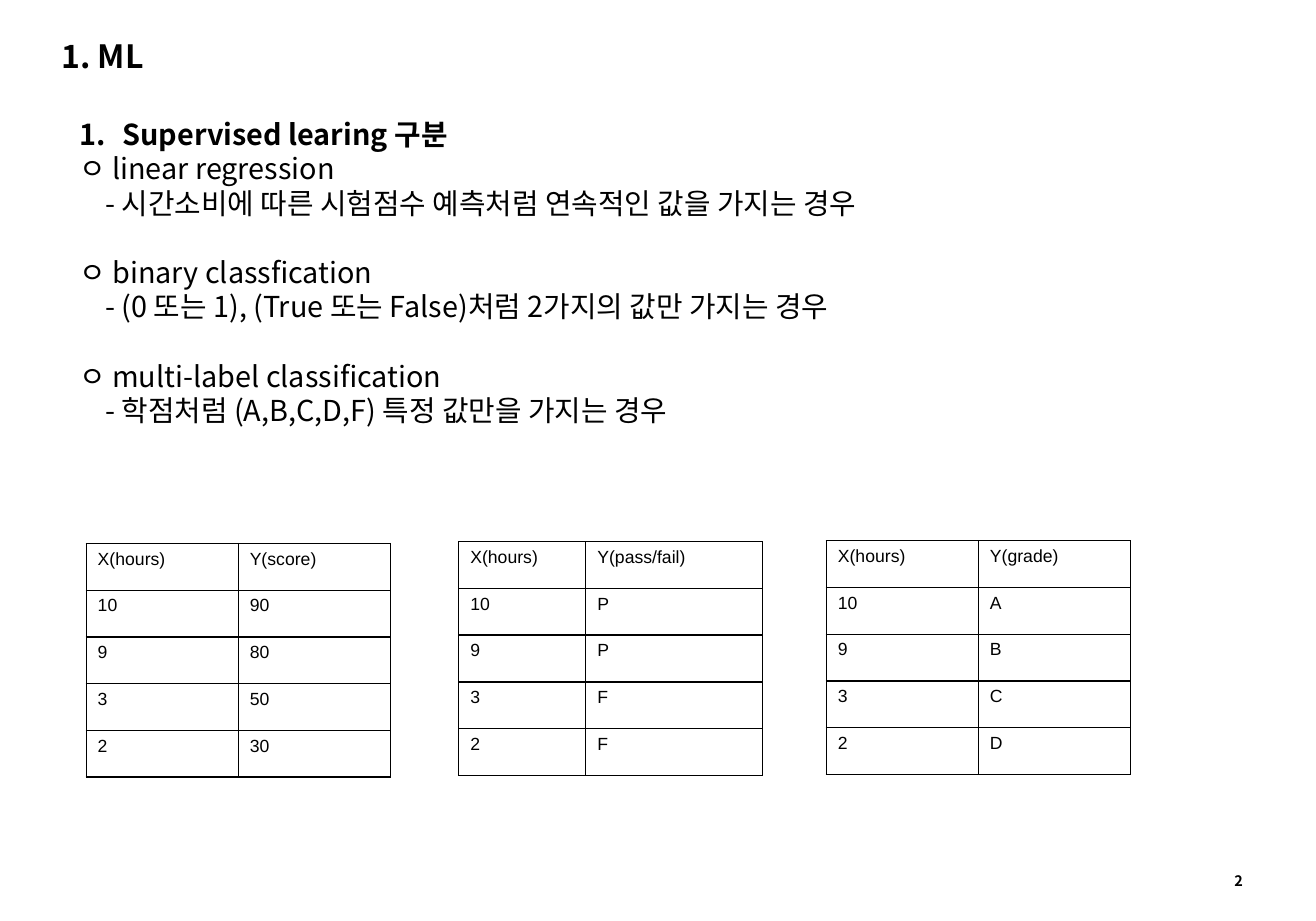
import lxml.etree
import pptx
import pptx.dml.color
import pptx.enum.text
import pptx.oxml.ns
import pptx.util

Cm = pptx.util.Cm
Pt = pptx.util.Pt
qn = pptx.oxml.ns.qn
ANCHOR = pptx.enum.text.MSO_ANCHOR


def color(value):
    return pptx.dml.color.RGBColor.from_string(value)


class SlideBuilder:
    """Adds text and tables in one style to the current slide."""

    ink = "000000"
    text_font = "Noto Sans CJK KR"
    table_font = "Arial"
    line_pitch = Pt(21.6)

    def __init__(self, page):
        self.page = page

    def style(self, para, size, font, bold=False):
        for span in para.runs:
            span.font.size = Pt(size)
            span.font.bold = bold
            span.font.color.rgb = color(self.ink)
            span.font.name = font
            properties = span._r.get_or_add_rPr()
            properties.set("kern", "0")
            east_asian = lxml.etree.SubElement(properties, qn("a:ea"))
            east_asian.set("typeface", font)

    def text_box(self, left, top, width, height, anchor):
        box = self.page.shapes.add_textbox(Cm(left), Cm(top), Cm(width), Cm(height))
        box.text_frame.word_wrap = True
        box.text_frame.vertical_anchor = anchor
        return box.text_frame

    def label(self, text, left, top, width, height, size):
        frame = self.text_box(left, top, width, height, ANCHOR.MIDDLE)
        frame.text = text
        self.style(frame.paragraphs[0], size, self.text_font, bold=True)

    def indent(self, para, margin, first_line=0.0):
        properties = para._p.get_or_add_pPr()
        properties.set("marL", str(Cm(margin)))
        properties.set("indent", str(Cm(first_line)))
        return properties

    def outline(self, heading, topics, left, top, width, height):
        frame = self.text_box(left, top, width, height, ANCHOR.TOP)
        para = frame.paragraphs[0]
        para.text = heading
        para.line_spacing = self.line_pitch
        self.style(para, 18, self.text_font, bold=True)
        properties = self.indent(para, 0.95, -0.95)
        number = lxml.etree.SubElement(properties, qn("a:buAutoNum"))
        number.set("type", "arabicPeriod")
        for index, (name, detail) in enumerate(topics):
            for text, margin in ((f"ㅇ {name}", 0), (f"- {detail}", 0.57)):
                para = frame.add_paragraph()
                para.text = text
                para.line_spacing = self.line_pitch
                if index and not margin:
                    para.space_before = self.line_pitch
                self.indent(para, margin)
                self.style(para, 18, self.text_font)

    def border(self, cell):
        properties = cell._tc.get_or_add_tcPr()
        for position, side in enumerate(("lnL", "lnR", "lnT", "lnB")):
            line = lxml.etree.Element(qn(f"a:{side}"), w=str(Pt(1)))
            fill = lxml.etree.SubElement(line, qn("a:solidFill"))
            lxml.etree.SubElement(fill, qn("a:srgbClr"), val=self.ink)
            properties.insert(position, line)

    def table(self, rows, left, top, widths, row_height=1.03):
        frame = self.page.shapes.add_table(
            len(rows), len(widths), Cm(left), Cm(top),
            Cm(sum(widths)), Cm(row_height * len(rows)))
        table = frame.table
        table.first_row = False
        table.horz_banding = False
        for column, width in zip(table.columns, widths):
            column.width = Cm(width)
        for row, values in zip(table.rows, rows):
            row.height = Cm(row_height)
            for cell, value in zip(row.cells, values):
                cell.text_frame.text = value
                self.style(cell.text_frame.paragraphs[0], 11, self.table_font)
                cell.fill.background()
                self.border(cell)


def main():
    deck = pptx.Presentation()
    deck.slide_width = Cm(29)
    deck.slide_height = Cm(20.3)
    builder = SlideBuilder(deck.slides.add_slide(deck.slide_layouts[6]))

    builder.label("2", 26.95, 19.1, 2.13, 0.64, 9)
    builder.label("1. ML", 1.1, 0.72, 14.7, 1, 20)
    topics = [
        ("linear regression", "시간소비에 따른 시험점수 예측처럼 연속적인 값을 가지는 경우"),
        ("binary classfication", "(0 또는 1), (True 또는 False)처럼 2가지의 값만 가지는 경우"),
        ("multi-label classification", "학점처럼 (A,B,C,D,F) 특정 값만을 가지는 경우"),
    ]
    builder.outline("Supervised learing 구분", topics, 1.5, 2.44, 24.8, 9.5)

    hours = ["X(hours)", "10", "9", "3", "2"]
    tables = [
        (["Y(score)", "90", "80", "50", "30"], 1.9, 11.98, (3.35, 3.35)),
        (["Y(pass/fail)", "P", "P", "F", "F"], 10.11, 11.94, (2.8, 3.9)),
        (["Y(grade)", "A", "B", "C", "D"], 18.21, 11.92, (3.35, 3.35)),
    ]
    for results, left, top, widths in tables:
        builder.table(list(zip(hours, results)), left, top, widths)

    deck.save("out.pptx")


if __name__ == "__main__":
    main()
